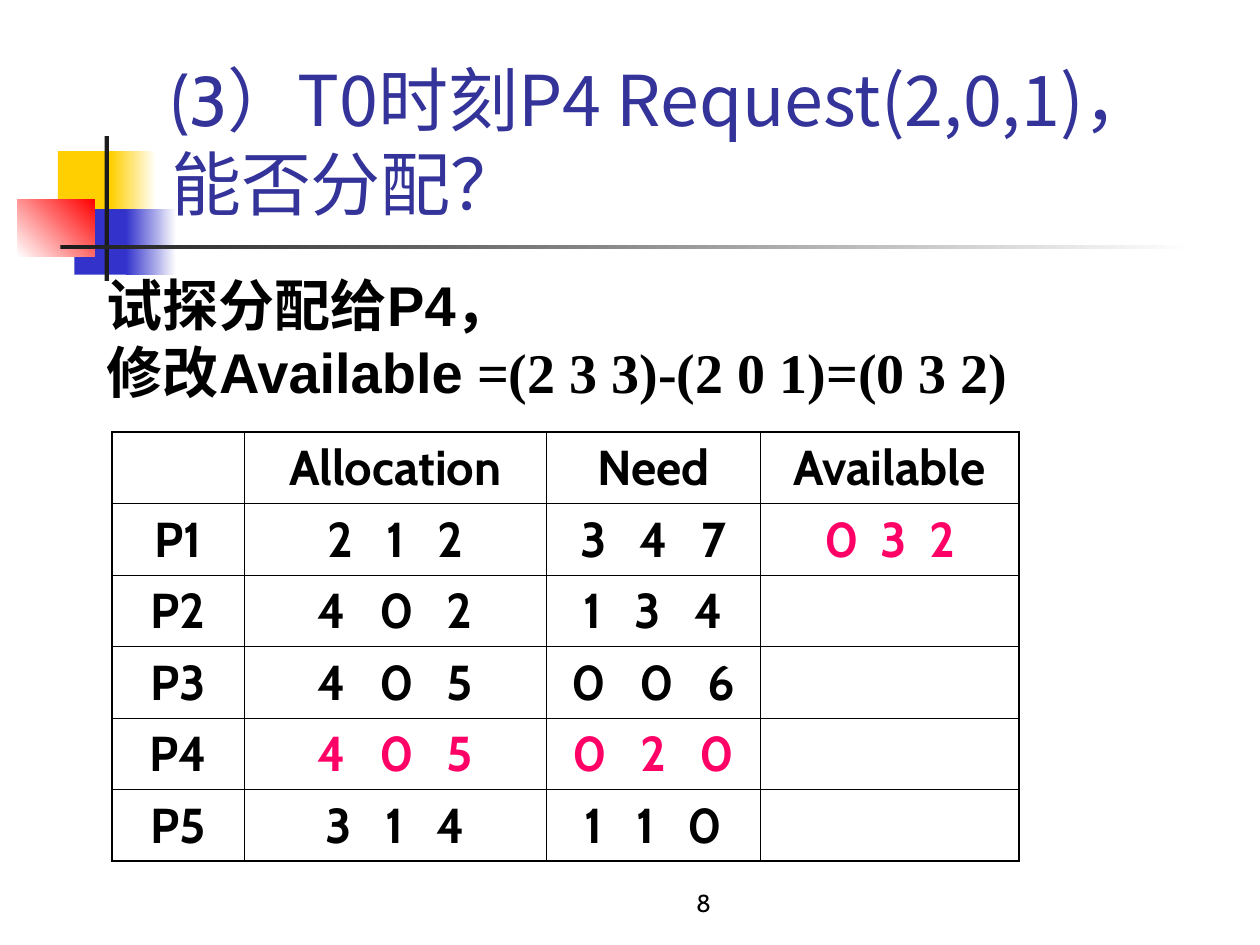
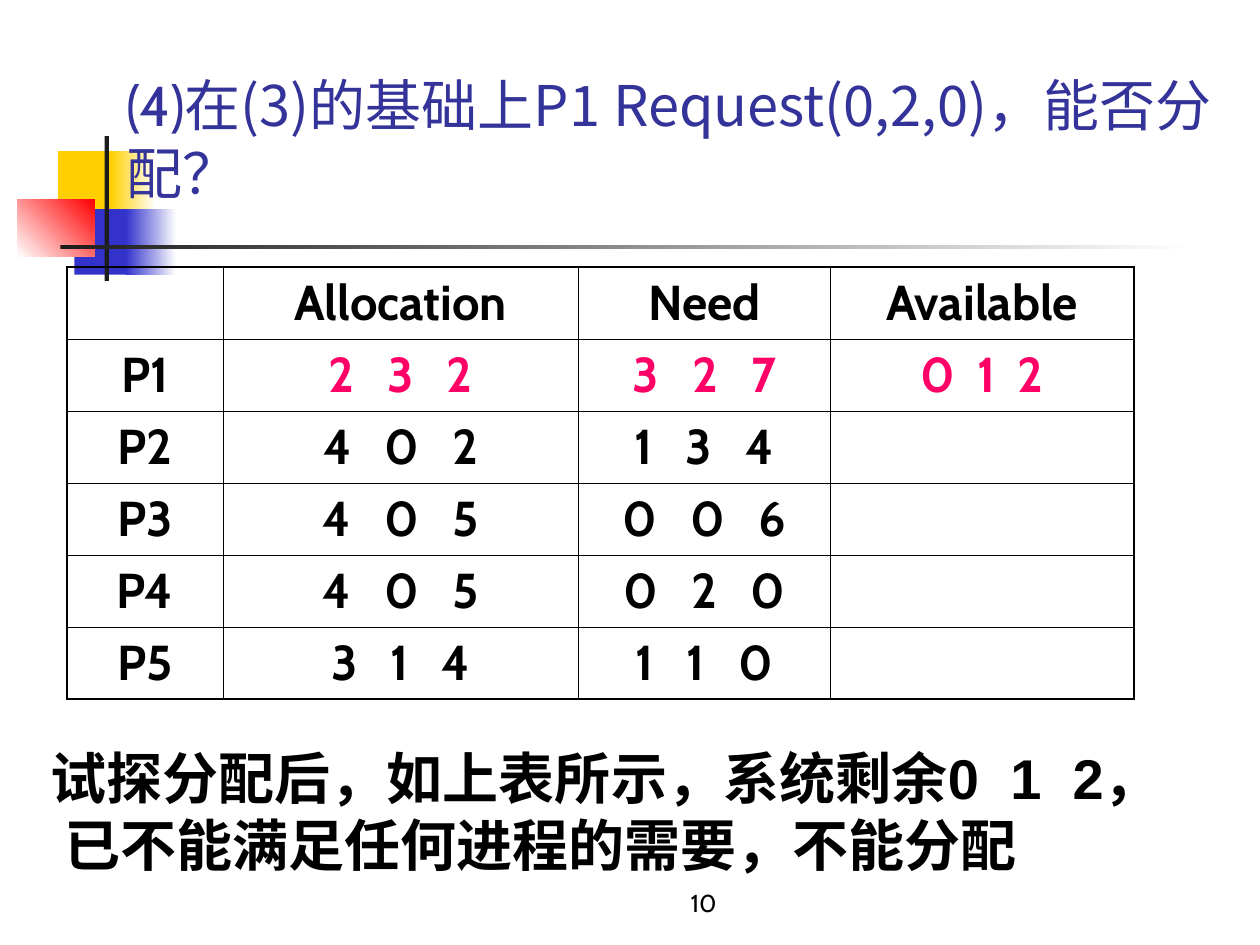
from dataclasses import dataclass

from lxml import etree
from pptx import Presentation
from pptx import util as u
from pptx.dml.color import RGBColor
from pptx.enum import shapes, text
from pptx.oxml.ns import qn


@dataclass(frozen=True)
class Theme:
    """Colours, fonts and type sizes shared by the slides."""
    ink: str = "000000"
    title: str = "333399"
    highlight: str = "FF0066"
    yellow: str = "FFCF01"
    blue: str = "3333CC"
    red: str = "FF0000"
    bar: str = "1C1C1C"
    white: str = "FFFFFF"
    latin: str = "Cabin"
    chinese: str = "Noto Sans CJK SC"
    note: str = "Arial"
    vector: str = "Times New Roman"
    note_size: int = 32
    table_size: int = 28
    number_size: int = 14
    outer_line: float = 1.08
    inner_line: float = 0.45


THEME = Theme()
WIDTH, HEIGHT = u.Inches(10), u.Inches(7.5)
COLUMNS, ROWS = 100, 75
WIDE_GAP, NARROW_GAP, NOTE_GAP = 12.6, 6.3, 8.9
HEADER = ("", "Allocation", "Need", "Available")


def across(columns):
    """Return the length of a number of grid columns."""
    return u.Emu(round(WIDTH * columns / COLUMNS))


def down(rows):
    """Return the length of a number of grid rows."""
    return u.Emu(round(HEIGHT * rows / ROWS))


def place(left, top, width, height):
    """Turn a grid area into slide lengths."""
    return across(left), down(top), across(width), down(height)


def write(paragraph, words, size, font=THEME.latin, color=THEME.ink, bold=False, gap=0):
    """Add formatted text, widening each space by gap points."""
    pieces = words.replace(" ", "\n \n").split("\n") if gap else [words]
    for piece in pieces:
        run = paragraph.add_run()
        run.text = piece
        run.font.size = u.Pt(size)
        run.font.name = font
        run.font.bold = bold
        run.font.color.rgb = RGBColor.from_string(color)
        properties = run._r.get_or_add_rPr()
        etree.SubElement(properties, qn("a:ea"), typeface=THEME.chinese)
        if piece == " " and gap:
            properties.set("spc", str(round(gap * 100)))


def add_text_frame(slide, area, anchor=text.MSO_ANCHOR.TOP):
    """Add a wrapping text box and return its frame."""
    frame = slide.shapes.add_textbox(*place(*area)).text_frame
    frame.word_wrap = True
    frame.vertical_anchor = anchor
    return frame


def add_block(slide, area, start, end=None, angle=0):
    """Add a plain or two-colour rectangle without outline."""
    shape = slide.shapes.add_shape(shapes.MSO_SHAPE.RECTANGLE, *place(*area))
    shape.shadow.inherit = False
    shape.line.fill.background()
    if end is None:
        shape.fill.solid()
        shape.fill.fore_color.rgb = RGBColor.from_string(start)
        return
    shape.fill.gradient()
    shape.fill.gradient_angle = angle
    for stop, color in zip(shape.fill.gradient_stops, (start, end)):
        stop.color.rgb = RGBColor.from_string(color)


def add_emblem(slide):
    """Add the coloured blocks and crossed bars beside the title."""
    add_block(slide, (4.6, 12, 4.8, 5.2), THEME.yellow)
    add_block(slide, (8.8, 12, 3.6, 5.2), THEME.yellow, THEME.white)
    add_block(slide, (5.9, 16.6, 4.6, 5.2), THEME.blue)
    add_block(slide, (10, 16.6, 4, 5.2), THEME.blue, THEME.white)
    add_block(slide, (1.4, 15.8, 6.1, 4.6), THEME.white, THEME.red, angle=45)
    add_block(slide, (8.3, 10.8, 0.35, 11.5), THEME.bar)
    add_block(slide, (4.8, 19.45, 90, 0.35), THEME.bar, THEME.white)


def add_page(presentation, number, label, title, area, size):
    """Add a slide with emblem, page number and title."""
    slide = presentation.slides.add_slide(presentation.slide_layouts[6])
    add_emblem(slide)
    footer = add_text_frame(slide, (40, 68.3, 31.7, 5), text.MSO_ANCHOR.BOTTOM)
    footer.paragraphs[0].alignment = text.PP_ALIGN.CENTER
    write(footer.paragraphs[0], str(number), THEME.number_size)
    paragraph = add_text_frame(slide, area, text.MSO_ANCHOR.BOTTOM).paragraphs[0]
    write(paragraph, label, size, color=THEME.title)
    write(paragraph, title, size, font=THEME.chinese, color=THEME.title)
    return slide


def set_borders(cell, outer_sides):
    """Draw the four cell borders, heavier on the outer sides."""
    properties = cell._tc.get_or_add_tcPr()
    for side in "LRTB":
        points = THEME.outer_line if side in outer_sides else THEME.inner_line
        line = etree.SubElement(properties, qn(f"a:ln{side}"), w=str(u.Pt(points)))
        fill = etree.SubElement(line, qn("a:solidFill"))
        etree.SubElement(fill, qn("a:srgbClr"), val=THEME.ink)


def add_allocation_table(slide, left, top, widths, row_height, rows, highlighted):
    """Add the process table, colouring the highlighted (row, column) cells."""
    rows = [HEADER, *rows]
    last_row, last_column = len(rows) - 1, len(widths) - 1
    area = place(left, top, sum(widths), row_height * len(rows))
    table = slide.shapes.add_table(len(rows), len(widths), *area).table
    table.first_row = table.horz_banding = False
    for column, width in zip(table.columns, widths):
        column.width = across(width)
    for r, row in enumerate(rows):
        table.rows[r].height = down(row_height)
        for c, words in enumerate(row):
            cell = table.cell(r, c)
            edges = {"T": r == 0, "B": r == last_row, "L": c == 0, "R": c == last_column}
            set_borders(cell, [side for side, outer in edges.items() if outer])
            cell.fill.background()
            if words:
                paragraph = cell.text_frame.paragraphs[0]
                paragraph.alignment = text.PP_ALIGN.CENTER
                write(paragraph, words, THEME.table_size, bold=True,
                      color=THEME.highlight if (r, c) in highlighted else THEME.ink,
                      gap=NARROW_GAP if c == last_column else WIDE_GAP)


def add_note(slide, area, lines):
    """Add bold lines, each a list of (words, font, gap), and return the paragraphs."""
    frame = add_text_frame(slide, area)
    frame.auto_size = text.MSO_AUTO_SIZE.SHAPE_TO_FIT_TEXT
    for index, pieces in enumerate(lines):
        paragraph = frame.add_paragraph() if index else frame.paragraphs[0]
        for words, font, gap in pieces:
            write(paragraph, words, THEME.note_size, font=font, bold=True, gap=gap)
    return frame.paragraphs


def add_p4_request(presentation):
    """Add the slide on the request of P4."""
    slide = add_page(presentation, 8, "(3）", "T0时刻P4 Request(2,0,1)，能否分配？",
                     (12.6, 2.3, 85.2, 16), 40)
    add_note(slide, (7.5, 21, 76.4, 11.7), [
        [("试探分配给P4，", THEME.note, 0)],
        [("修改Available", THEME.note, 0),
         (" =(2 3 3)-(2 0 1)=(0 3 2)", THEME.vector, 0)],
    ])
    add_allocation_table(slide, 8.9, 34.3, (10.5, 23.95, 17, 20.5), 5.67, [
        ("P1", "2 1 2", "3 4 7", "0 3 2"),
        ("P2", "4 0 2", "1 3 4", ""),
        ("P3", "4 0 5", "0 0 6", ""),
        ("P4", "4 0 5", "0 2 0", ""),
        ("P5", "3 1 4", "1 1 0", ""),
    ], {(1, 3), (4, 1), (4, 2)})


def add_p1_request(presentation):
    """Add the slide on the request of P1."""
    slide = add_page(presentation, 10, "(4)", "在(3)的基础上P1 Request(0,2,0)，能否分配？",
                     (9.05, 0.8, 88.8, 16), 32)
    add_allocation_table(slide, 5.3, 21.2, (12.4, 28.2, 20, 24.1), 5.72, [
        ("P1", "2 3 2", "3 2 7", "0 1 2"),
        ("P2", "4 0 2", "1 3 4", ""),
        ("P3", "4 0 5", "0 0 6", ""),
        ("P4", "4 0 5", "0 2 0", ""),
        ("P5", "3 1 4", "1 1 0", ""),
    ], {(1, 1), (1, 2), (1, 3)})
    paragraphs = add_note(slide, (3.05, 58.5, 96, 11.7), [
        [("试探分配后，如上表所示，系统剩余0 1 2，", THEME.note, NOTE_GAP)],
        [("已不能满足任何进程的需要，不能分配", THEME.note, 0)],
    ])
    paragraphs[1]._p.get_or_add_pPr().set("marL", str(across(1.1)))


def main():
    """Build and save the presentation."""
    presentation = Presentation()
    presentation.slide_width, presentation.slide_height = WIDTH, HEIGHT
    add_p4_request(presentation)
    add_p1_request(presentation)
    presentation.save("out.pptx")


if __name__ == "__main__":
    main()
